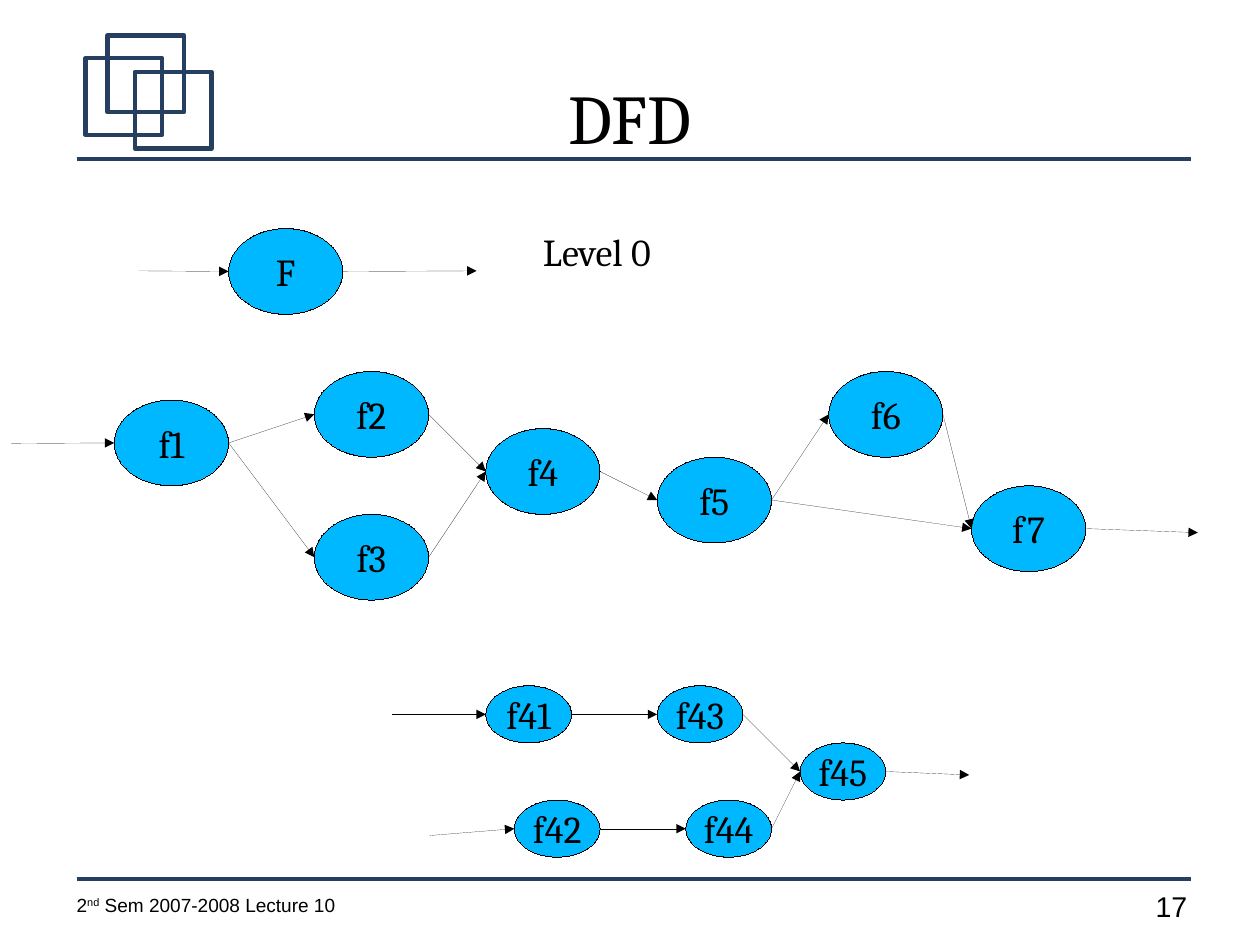
from lxml import etree
from pptx import Presentation
from pptx import util as u
from pptx.dml import color
from pptx.enum import shapes, text
from pptx.oxml import ns

NAVY = color.RGBColor(0x26, 0x3E, 0x60)
BLUE = color.RGBColor(0x00, 0xB8, 0xFF)
BLACK = color.RGBColor(0x00, 0x00, 0x00)

CM_PER_INCH = 2.54
RULE_WIDTH = 2.83
HAIRLINE = 0
LARGE = (1, 0.75)
SMALL = (0.75, 0.5)

PROCESSES = {
    "F": (2, 2, LARGE),
    "f1": (1, 3.5, LARGE),
    "f2": (2.75, 3.25, LARGE),
    "f3": (2.75, 4.5, LARGE),
    "f4": (4.25, 3.75, LARGE),
    "f5": (5.75, 4, LARGE),
    "f6": (7.25, 3.25, LARGE),
    "f7": (8.5, 4.25, LARGE),
    "f41": (4.25, 6, SMALL),
    "f42": (4.5, 7, SMALL),
    "f43": (5.75, 6, SMALL),
    "f44": (6, 7, SMALL),
    "f45": (7, 6.5, SMALL),
}
FLOWS = [
    ("f1", "f2"), ("f1", "f3"), ("f2", "f4"), ("f3", "f4"), ("f4", "f5"),
    ("f5", "f6"), ("f6", "f7"), ("f5", "f7"),
    ("f41", "f43"), ("f42", "f44"), ("f43", "f45"), ("f44", "f45"),
]
INPUTS = {"F": (1.21, 2.37), "f1": (0.1, 3.88), "f41": (3.43, 6.25), "f42": (3.76, 7.31)}
OUTPUTS = {"F": (4.17, 2.37), "f7": (10.48, 4.66), "f45": (8.48, 6.78)}


def set_attributes(target, values):
    for name, value in values.items():
        setattr(target, name, value)


def add_run(paragraph, words, font_name, size, baseline=0):
    run = paragraph.add_run()
    run.text = words
    set_attributes(run.font, {"name": font_name, "size": u.Pt(size)})
    run.font.color.rgb = BLACK
    if baseline:
        run.font._element.set("baseline", str(baseline * 1000))


def prepare_frame(shape, anchor, alignment):
    set_attributes(shape.text_frame, {
        "margin_left": 0, "margin_top": 0, "margin_right": 0, "margin_bottom": 0,
        "word_wrap": True, "vertical_anchor": anchor,
    })
    paragraph = shape.text_frame.paragraphs[0]
    paragraph.alignment = alignment
    return paragraph


def add_label(slide, box, runs, font_name, size,
              anchor=text.MSO_ANCHOR.TOP, alignment=text.PP_ALIGN.LEFT):
    shape = slide.shapes.add_textbox(*map(u.Inches, box))
    paragraph = prepare_frame(shape, anchor, alignment)
    for words, baseline in runs:
        add_run(paragraph, words, font_name, size, baseline)


def set_line(shape, line_color, width):
    shape.line.color.rgb = line_color
    outline = shape.line._get_or_add_ln()
    outline.set("w", str(u.Pt(width)))
    return outline


def add_line(slide, start, end, line_color, width, arrow=False):
    connector = slide.shapes.add_connector(
        shapes.MSO_CONNECTOR.STRAIGHT, *map(u.Inches, (*start, *end)))
    outline = set_line(connector, line_color, width)
    if arrow:
        etree.SubElement(outline, ns.qn("a:tailEnd"), type="triangle")
    etree.SubElement(connector._element.spPr, ns.qn("a:effectLst"))


def add_outlined(slide, kind, box, line_color, width):
    shape = slide.shapes.add_shape(kind, *map(u.Inches, box))
    shape.shadow.inherit = False
    set_line(shape, line_color, width)
    return shape


def add_square(slide, left, top):
    box = (left, top, 0.67, 0.67)
    shape = add_outlined(slide, shapes.MSO_SHAPE.RECTANGLE, box, NAVY, RULE_WIDTH)
    shape.fill.background()


def add_process(slide, name):
    left, top, size = PROCESSES[name]
    shape = add_outlined(slide, shapes.MSO_SHAPE.OVAL, (left, top, *size), BLACK, HAIRLINE)
    shape.fill.solid()
    shape.fill.fore_color.rgb = BLUE
    paragraph = prepare_frame(shape, text.MSO_ANCHOR.MIDDLE, text.PP_ALIGN.CENTER)
    shape.text_frame.word_wrap = False
    add_run(paragraph, name, "Cambria", 24)


def entry(name):
    left, top, (width, height) = PROCESSES[name]
    return left, top + height / 2


def leaving(name):
    left, top, (width, height) = PROCESSES[name]
    return left + width, top + height / 2


def add_frame(slide):
    for y in (7.69, 1.39):
        add_line(slide, (0.67, y), (10.42, y), NAVY, RULE_WIDTH)
    add_label(slide, (0.67, 7.82, 2.82, 0.27),
              [("2", 0), ("nd", 33), (" Sem 2007-2008 Lecture 10", 0)], "Arial", 12)
    add_label(slide, (10.11, 7.78, 0.4, 0.37), [("17", 0)], "Arial", 18)
    for left, top in ((0.75, 0.51), (0.94, 0.31), (1.18, 0.63)):
        add_square(slide, left, top)


def add_diagram(slide):
    for name in PROCESSES:
        add_process(slide, name)
    arrows = [(leaving(source), entry(target)) for source, target in FLOWS]
    arrows += [(start, entry(name)) for name, start in INPUTS.items()]
    arrows += [(leaving(name), end) for name, end in OUTPUTS.items()]
    for start, end in arrows:
        add_line(slide, start, end, BLACK, HAIRLINE, arrow=True)


def main():
    presentation = Presentation()
    presentation.slide_width = u.Inches(28 / CM_PER_INCH)
    presentation.slide_height = u.Inches(21 / CM_PER_INCH)
    slide = presentation.slides.add_slide(presentation.slide_layouts[6])
    add_frame(slide)
    add_label(slide, (0.55, 0.33, 9.92, 1.38), [("DFD", 0)], "Cambria", 44,
              text.MSO_ANCHOR.MIDDLE, text.PP_ALIGN.CENTER)
    add_diagram(slide)
    add_label(slide, (4.75, 2, 2.75, 0.39), [("Level 0", 0)], "Cambria", 24)
    presentation.save("out.pptx")


if __name__ == "__main__":
    main()
